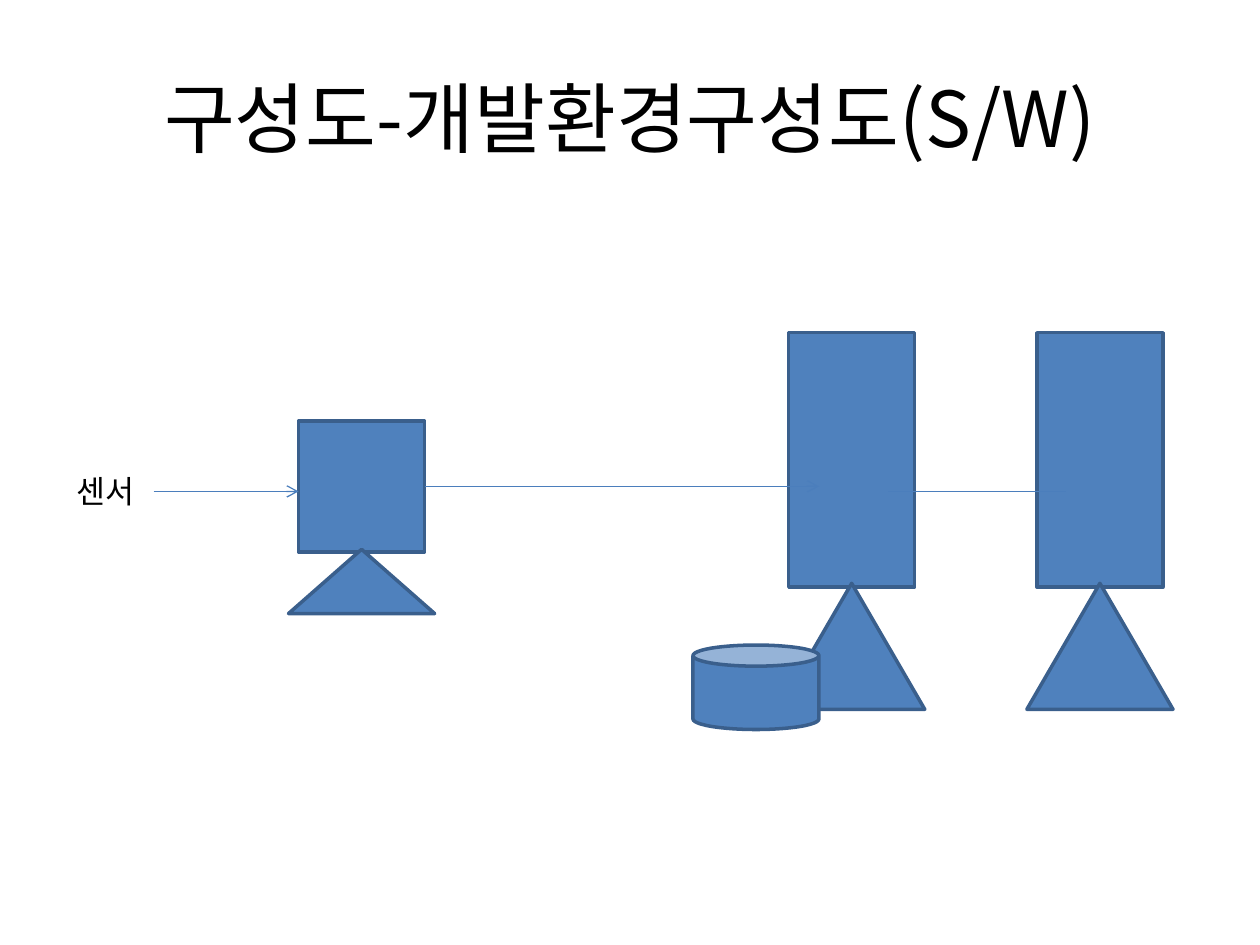
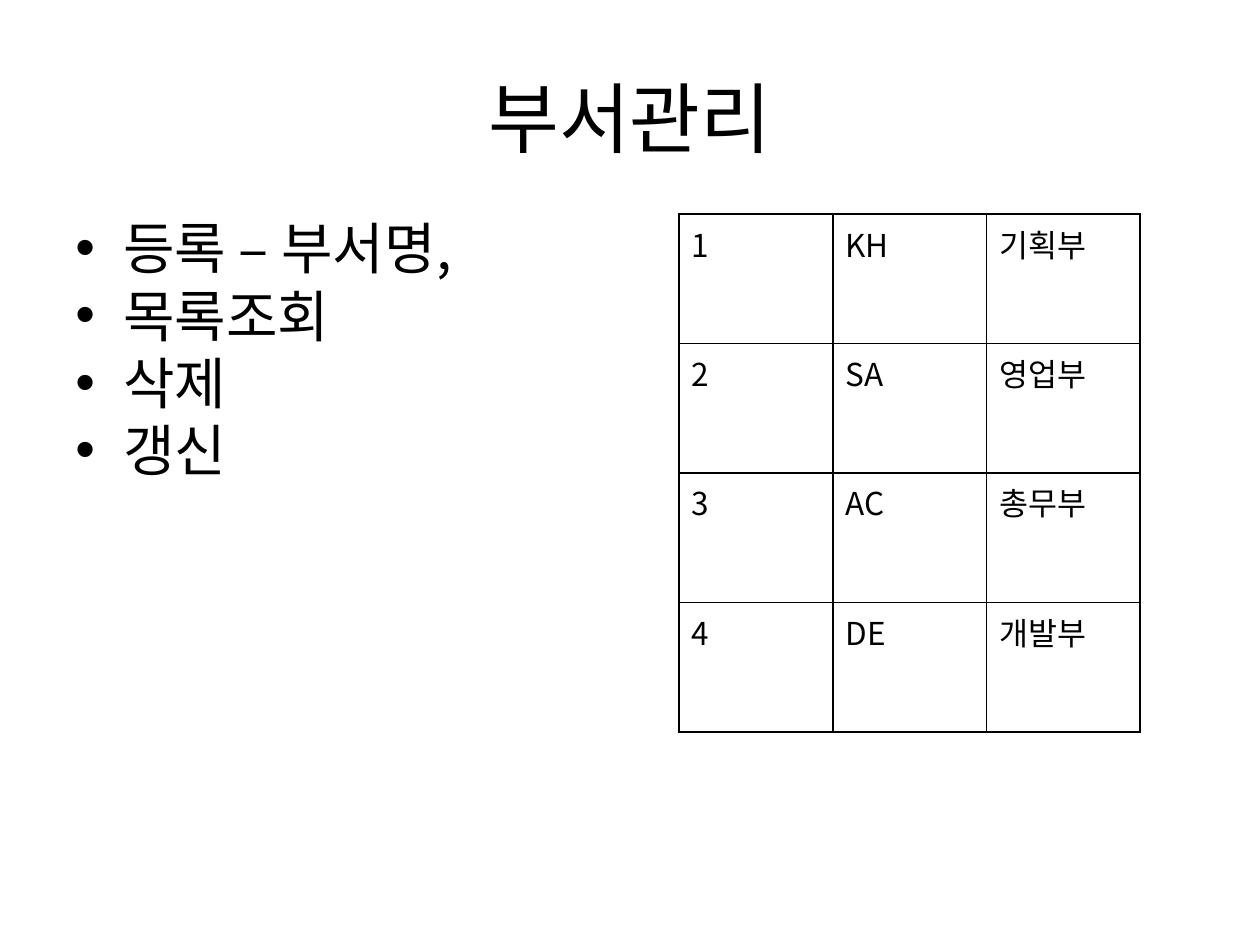
"""Build a system diagram slide and a department management slide."""
from lxml.etree import SubElement
from pptx import Presentation
from pptx.dml.color import RGBColor
from pptx.enum.shapes import MSO_CONNECTOR, MSO_SHAPE
from pptx.enum.text import MSO_ANCHOR, PP_ALIGN
from pptx.oxml.ns import qn
from pptx.util import Inches, Pt

COLORS = {"text": "000000", "fill": "4F81BD", "outline": "3A5F8C", "link": "4B7EBC"}
FONT = "Noto Sans CJK KR"


def write_text(frame, text, size=18, align=PP_ALIGN.LEFT, anchor=MSO_ANCHOR.TOP,
               wrap=True, bullet=False):
    frame.word_wrap = wrap
    frame.vertical_anchor = anchor
    for index, line in enumerate(text.split("\n")):
        paragraph = frame.add_paragraph() if index else frame.paragraphs[0]
        paragraph.alignment = align
        if bullet:
            paragraph.line_spacing = 0.8
            paragraph.space_before = Pt(7.8)
            properties = paragraph._p.get_or_add_pPr()
            properties.set("marL", str(Inches(0.38)))
            properties.set("indent", str(Inches(-0.38)))
            SubElement(properties, qn("a:buFont"), typeface="Arial")
            SubElement(properties, qn("a:buChar"), char="•")
        run = paragraph.add_run()
        run.text = line
        run.font.size = Pt(size)
        run.font.name = FONT
        run.font.color.rgb = RGBColor.from_string(COLORS["text"])
        SubElement(run._r.get_or_add_rPr(), qn("a:ea"), typeface=FONT)


def add_block(shapes, kind, left, top, width, height):
    shape = shapes.add_shape(kind, Inches(left), Inches(top), Inches(width), Inches(height))
    shape.shadow.inherit = False
    shape.fill.solid()
    shape.fill.fore_color.rgb = RGBColor.from_string(COLORS["fill"])
    shape.line.color.rgb = RGBColor.from_string(COLORS["outline"])
    shape.line.width = Pt(2)


presentation = Presentation()
presentation.slide_width = Inches(10)
presentation.slide_height = Inches(7.5)

slides = []
for title in ("구성도-개발환경구성도(S/W)", "부서관리"):
    slide = presentation.slides.add_slide(presentation.slide_layouts[6])
    box = slide.shapes.add_textbox(Inches(0.5), Inches(0.3), Inches(9), Inches(1.25))
    write_text(box.text_frame, title, size=44, align=PP_ALIGN.CENTER, anchor=MSO_ANCHOR.MIDDLE)
    slides.append(slide)
diagram, departments = slides

stations = [
    (2.37, 3.34, 1.04, 4.36, 0.51),
    (6.26, 2.64, 2.02, 4.63, 1),
    (8.23, 2.64, 2.02, 4.63, 1),
]
for left, top, height, stand_top, stand_height in stations:
    group = diagram.shapes.add_group_shape()
    add_block(group.shapes, MSO_SHAPE.RECTANGLE, left, top, 1, height)
    add_block(group.shapes, MSO_SHAPE.ISOSCELES_TRIANGLE, left - 0.08, stand_top, 1.16, stand_height)
add_block(diagram.shapes, MSO_SHAPE.CAN, 5.5, 5.12, 1, 0.67)

sensor = diagram.shapes.add_textbox(Inches(0.51), Inches(3.7), Inches(0.71), Inches(0.4))
write_text(sensor.text_frame, "센서", wrap=False)

for start, end, level, arrow in [(1.22, 2.37, 3.9, True), (3.37, 6.5, 3.86, True),
                                 (7.05, 8.46, 3.9, False)]:
    link = diagram.shapes.add_connector(
        MSO_CONNECTOR.STRAIGHT, Inches(start), Inches(level), Inches(end), Inches(level))
    link.line.color.rgb = RGBColor.from_string(COLORS["link"])
    link.line.width = Pt(0.75)
    if arrow:
        SubElement(link.line._get_or_add_ln(), qn("a:tailEnd"), type="arrow")
    SubElement(link._element.spPr, qn("a:effectLst"))

body = departments.shapes.add_textbox(Inches(0.5), Inches(1.75), Inches(9), Inches(4.95))
write_text(body.text_frame, "등록 – 부서명,\n목록조회\n삭제\n갱신", size=32, bullet=True)

rows = [("1", "KH", "기획부"), ("2", "SA", "영업부"), ("3", "AC", "총무부"), ("4", "DE", "개발부")]
table = departments.shapes.add_table(
    len(rows), 3, Inches(5.39), Inches(1.7), Inches(3.66), Inches(4.11)).table
table.first_row = False
table.horz_banding = False
for row_index, row in enumerate(rows):
    for column_index, text in enumerate(row):
        cell = table.cell(row_index, column_index)
        write_text(cell.text_frame, text)
        properties = cell._tc.get_or_add_tcPr()
        for side in ("a:lnL", "a:lnR", "a:lnT", "a:lnB"):
            border = SubElement(properties, qn(side), w=str(Pt(1)))
            border_fill = SubElement(border, qn("a:solidFill"))
            SubElement(border_fill, qn("a:srgbClr"), val=COLORS["text"])
        cell.fill.background()

presentation.save("out.pptx")
